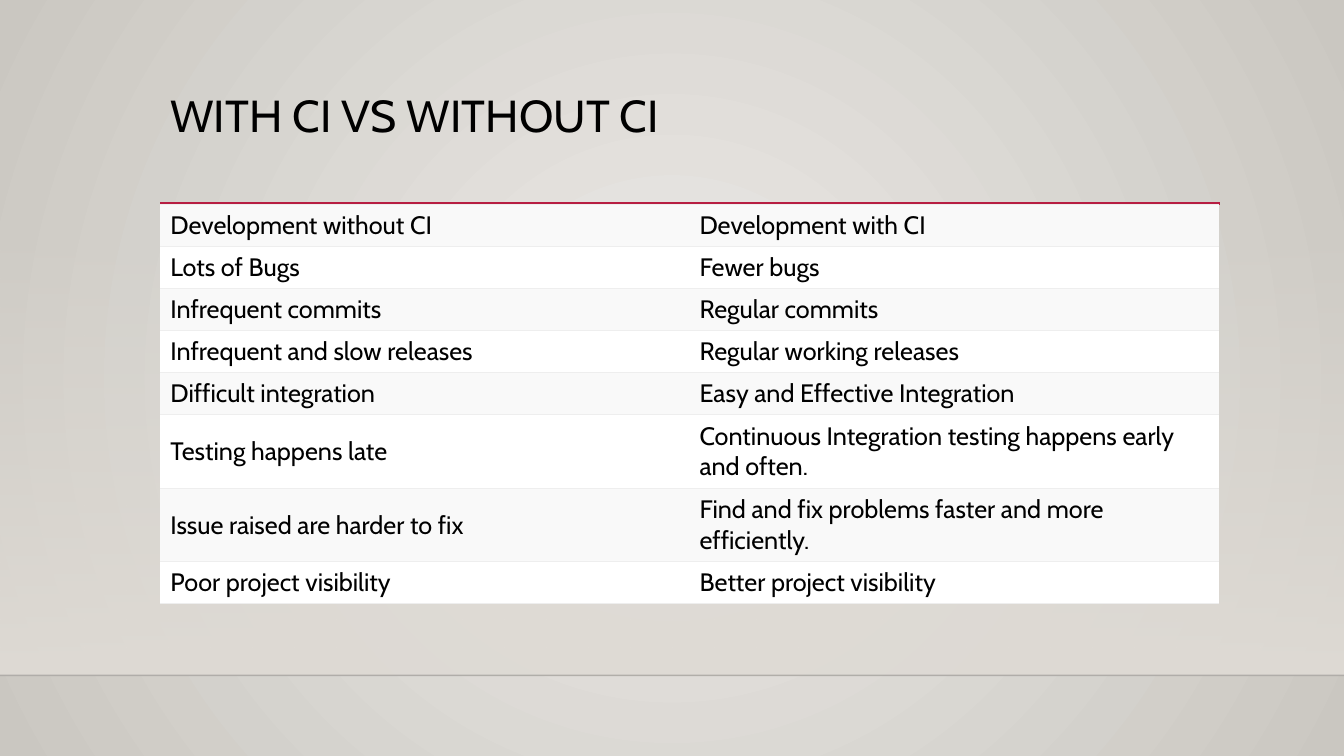
from dataclasses import dataclass

from lxml import etree
from pptx import Presentation
from pptx.dml.color import RGBColor
from pptx.enum.shapes import MSO_CONNECTOR, MSO_SHAPE
from pptx.enum.text import MSO_ANCHOR, MSO_AUTO_SIZE, PP_ALIGN
from pptx.oxml import parse_xml
from pptx.oxml.ns import qn
from pptx.util import Pt

STRAIGHT = MSO_CONNECTOR.STRAIGHT
RECTANGLE = MSO_SHAPE.RECTANGLE
TOP, MIDDLE = MSO_ANCHOR.TOP, MSO_ANCHOR.MIDDLE
NO_AUTOFIT = MSO_AUTO_SIZE.NONE
LEFT = PP_ALIGN.LEFT
DRAWING = 'xmlns:a="http://schemas.openxmlformats.org/drawingml/2006/main"'
TITLE_ONLY = 5


@dataclass(frozen=True)
class Theme:
    font: str = "Cabin"
    ink: str = "000000"
    center: str = "ECEAE7"
    edge: str = "CAC7C1"
    wall: str = "DFDBD5"
    horizon: str = "000001"
    accent: str = "B71E42"
    grid: str = "EEEEEE"
    bands: tuple = ("F9F9F9", "FFFFFF")
    title_size: float = 32
    cell_size: float = 18


@dataclass(frozen=True)
class Box:
    left: float
    top: float
    width: float
    height: float

    def lengths(self):
        return Pt(self.left), Pt(self.top), Pt(self.width), Pt(self.height)


THEME = Theme()
PAGE = Box(0, 0, 960, 540)
WALL = Box(0, 159.1, 960, 323.3)
TITLE = Box(114.5, 63.4, 756, 82.8)
TABLE = Box(114.5, 146.2, 756, 285.2)
RULE_WIDTH = 756.7
LINE_ROW, DOUBLE_ROW = 30, 52.6

COMPARISON = [
    ("Development without CI", "Development with CI", LINE_ROW),
    ("Lots of Bugs", "Fewer bugs", LINE_ROW),
    ("Infrequent commits", "Regular commits", LINE_ROW),
    ("Infrequent and slow releases", "Regular working releases", LINE_ROW),
    ("Difficult integration", "Easy and Effective Integration", LINE_ROW),
    ("Testing happens late",
     "Continuous Integration testing happens early and often.", DOUBLE_ROW),
    ("Issue raised are harder to fix",
     "Find and fix problems faster and more efficiently.", DOUBLE_ROW),
    ("Poor project visibility", "Better project visibility", LINE_ROW),
]


def set_gradient(owner, fill, stops, direction):
    """Fill with (position, colour, opacity) stops, all in percent."""
    fill.gradient()
    gradient = next(owner.element.iter(qn("a:gradFill")))
    marks = "".join(
        f'<a:gs pos="{position * 1000}"><a:srgbClr val="{color}">'
        f'<a:alpha val="{opacity * 1000}"/></a:srgbClr></a:gs>'
        for position, color, opacity in stops)
    gradient.getparent().replace(gradient, parse_xml(
        f'<a:gradFill {DRAWING} rotWithShape="1"><a:gsLst>{marks}</a:gsLst>'
        f'{direction}</a:gradFill>'))


def add_span(para, text, size):
    span = para.add_run()
    span.text = text
    span.font.name = THEME.font
    span.font.size = Pt(size)
    span.font.color.rgb = RGBColor.from_string(THEME.ink)


def add_rule(page, left, top, width, color, weight, opacity=100):
    rule = page.shapes.add_connector(
        STRAIGHT, Pt(left), Pt(top), Pt(left + width), Pt(top))
    rule.line.color.rgb = RGBColor.from_string(color)
    rule.line.width = Pt(weight)
    shade = next(rule.element.iter(qn("a:srgbClr")))
    etree.SubElement(shade, qn("a:alpha")).set("val", str(opacity * 1000))
    etree.SubElement(rule.element.spPr, qn("a:effectLst"))


def draw_backdrop(page, box):
    # Radial light, then the wall fading in down to the horizon
    set_gradient(
        page, page.background.fill,
        [(0, THEME.center, 100), (100, THEME.edge, 100)],
        '<a:path path="circle">'
        '<a:fillToRect l="50000" t="50000" r="50000" b="50000"/></a:path>')
    wall = page.shapes.add_shape(RECTANGLE, *box.lengths())
    wall.shadow.inherit = False
    wall.line.fill.background()
    set_gradient(wall, wall.fill,
                 [(0, THEME.wall, 0), (100, THEME.wall, 100)],
                 '<a:lin ang="5400000" scaled="0"/>')
    add_rule(page, box.left, box.top + box.height, box.width,
             THEME.horizon, 1, opacity=20)


def draw_title(page, box, text):
    title = page.shapes.title
    title.left, title.top, title.width, title.height = box.lengths()
    frame = title.text_frame
    frame.word_wrap = True
    frame.auto_size = NO_AUTOFIT
    frame.vertical_anchor = TOP
    para = frame.paragraphs[0]
    para.alignment = LEFT
    para.line_spacing = 0.9
    add_span(para, text, THEME.title_size)


def set_borders(cell):
    # Grey lines above and below, none at the sides
    grey = f'<a:solidFill><a:srgbClr val="{THEME.grid}"/></a:solidFill>'
    paints = {"lnL": "<a:noFill/>", "lnR": "<a:noFill/>",
              "lnT": grey, "lnB": grey}
    properties = cell._tc.get_or_add_tcPr()
    for index, (side, paint) in enumerate(paints.items()):
        properties.insert(index, parse_xml(
            f'<a:{side} {DRAWING} w="{Pt(0.75)}">{paint}</a:{side}>'))


def draw_table(page, box, rows):
    add_rule(page, box.left, box.top - 0.7, RULE_WIDTH, THEME.accent, 2.5)
    table = page.shapes.add_table(len(rows), 2, *box.lengths()).table
    table.first_row = table.horz_banding = False
    for column in table.columns:
        column.width = Pt(box.width / 2)
    for index, (*texts, height) in enumerate(rows):
        table.rows[index].height = Pt(height)
        band = THEME.bands[index % 2]
        for cell, text in zip(table.rows[index].cells, texts):
            cell.vertical_anchor = MIDDLE
            cell.fill.solid()
            cell.fill.fore_color.rgb = RGBColor.from_string(band)
            set_borders(cell)
            add_span(cell.text_frame.paragraphs[0], text, THEME.cell_size)


def main():
    deck = Presentation()
    deck.slide_width, deck.slide_height = Pt(PAGE.width), Pt(PAGE.height)
    page = deck.slides.add_slide(deck.slide_layouts[TITLE_ONLY])
    draw_backdrop(page, WALL)
    draw_title(page, TITLE, "WITH CI VS WITHOUT CI")
    draw_table(page, TABLE, COMPARISON)
    deck.save("out.pptx")


if __name__ == "__main__":
    main()
